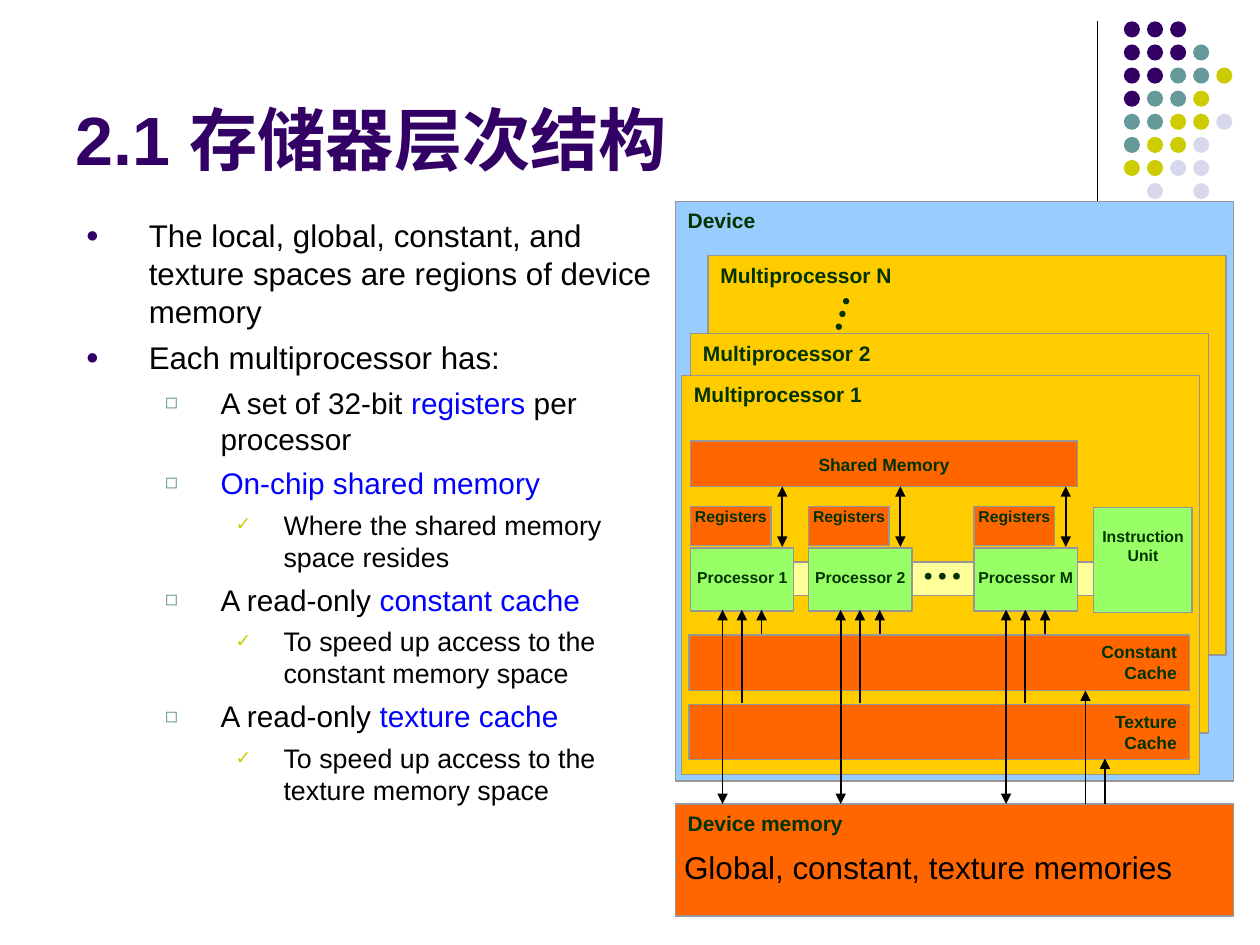
from lxml import etree
from pptx import Presentation
from pptx.dml.color import RGBColor
from pptx.enum.shapes import MSO_CONNECTOR, MSO_SHAPE
from pptx.enum.text import MSO_ANCHOR, MSO_AUTO_SIZE, PP_ALIGN
from pptx.oxml.ns import qn
from pptx.util import Pt

RECT, OVAL = MSO_SHAPE.RECTANGLE, MSO_SHAPE.OVAL
LINE = MSO_CONNECTOR.STRAIGHT
LEFT, MID, RIGHT = PP_ALIGN.LEFT, PP_ALIGN.CENTER, PP_ALIGN.RIGHT
TOP, BOTTOM = MSO_ANCHOR.TOP, MSO_ANCHOR.BOTTOM
FIXED, GROW = MSO_AUTO_SIZE.NONE, MSO_AUTO_SIZE.SHAPE_TO_FIT_TEXT

BLACK, BLUE, INK, EDGE = "000000", "0000FF", "003300", "969696"
SKY, GOLD, ORANGE, LIME, CREAM = "99CCFF", "FFCC00", "FF6600", "99FF66", "FFFF99"
PURPLE, TEAL, OLIVE, PALE = "330066", "669999", "CCCC00", "D8D8EC"
INSET = (7.2, 3.6, 7.2, 3.6)

# Corner dots: one letter per colour, a dash for a gap
DOTS = ["PPP", "PPPT", "PPTTO", "PTTO", "TTOOL", "TOOL", "OOLL", "-L-L"]
HUES = {"P": PURPLE, "T": TEAL, "O": OLIVE, "L": PALE}

# Per list level: left margin, hanging indent, space before, size, bullet, colour
LEVELS = [
    (36, 36, 5.2, 17.9, "●", PURPLE),
    (77, 31.7, 5, 17, "◻", TEAL),
    (113, 27.4, 4.5, 15.3, "✓", OLIVE),
]

# Level, then runs; every second run is blue
POINTS = [
    (0, ["The local, global, constant, and texture spaces are regions of device memory"]),
    (0, ["Each multiprocessor has:"]),
    (1, ["A set of 32-bit ", "registers", " per processor"]),
    (1, ["", "On-chip shared memory"]),
    (2, ["Where the shared memory space resides"]),
    (1, ["A read-only ", "constant cache"]),
    (2, ["To speed up access to the constant memory space"]),
    (1, ["A read-only ", "texture cache"]),
    (2, ["To speed up access to the texture memory space"]),
]


def rgb(code):
    return RGBColor.from_string(code)


def place(shape, x, y, w, h):
    shape.left, shape.top, shape.width, shape.height = Pt(x), Pt(y), Pt(w), Pt(h)


def style(font, size, color, bold=False, name="Arial"):
    font.name, font.size, font.bold = name, Pt(size), bold
    font.color.rgb = rgb(color)


def write(shape, text, size, color=INK, bold=True, align=LEFT, inset=INSET,
          wrap=True, fit=FIXED, name="Arial"):
    frame = shape.text_frame
    frame.text = text
    frame.word_wrap = wrap
    frame.auto_size = fit
    frame.vertical_anchor = TOP
    (frame.margin_left, frame.margin_top,
     frame.margin_right, frame.margin_bottom) = map(Pt, inset)
    for para in frame.paragraphs:
        para.alignment = align
        for run in para.runs:
            style(run.font, size, color, bold, name)


def solid(slide, kind, x, y, w, h, fill):
    shape = slide.shapes.add_shape(kind, Pt(x), Pt(y), Pt(w), Pt(h))
    shape.shadow.inherit = False
    shape.fill.solid()
    shape.fill.fore_color.rgb = rgb(fill)
    shape.line.fill.background()
    return shape


def box(slide, x, y, w, h, fill, text="", size=12, **opts):
    shape = solid(slide, RECT, x, y, w, h, fill)
    shape.line.color.rgb = rgb(EDGE)
    shape.line.width = Pt(0.75)
    if text:
        write(shape, text, size, **opts)


def label(slide, x, y, w, h, text, size, **opts):
    write(slide.shapes.add_textbox(Pt(x), Pt(y), Pt(w), Pt(h)), text, size, **opts)


def rule(slide, x, start, end, width=1, ends=("tailEnd",)):
    """Vertical line with a triangle at each of the named ends."""
    line = slide.shapes.add_connector(LINE, Pt(x), Pt(start), Pt(x), Pt(end))
    line.line.color.rgb = rgb(BLACK)
    line.line.width = Pt(width)
    for tag in ends:
        etree.SubElement(line.line._ln, qn("a:" + tag), type="triangle")
    etree.SubElement(line._element.spPr, qn("a:effectLst"))


def bullet(para, mark, color, left, hang):
    props = para._p.get_or_add_pPr()
    props.set("marL", str(Pt(left)))
    props.set("indent", str(-Pt(hang)))
    tint = etree.SubElement(props, qn("a:buClr"))
    etree.SubElement(tint, qn("a:srgbClr"), val=color)
    etree.SubElement(props, qn("a:buSzPct"), val="70000")
    etree.SubElement(props, qn("a:buFont"), typeface="Arial")
    etree.SubElement(props, qn("a:buChar"), char=mark)


def heading(slide):
    title = slide.shapes.title
    place(title, 36, 21.6, 582, 84.2)
    write(title, "2.1 存储器层次结构", 39, color=PURPLE)
    title.text_frame.vertical_anchor = BOTTOM


def points(slide):
    body = slide.placeholders[1]
    place(body, 41.8, 120.2, 350.6, 360)
    frame = body.text_frame
    frame.auto_size = FIXED
    for i, (level, parts) in enumerate(POINTS):
        para = frame.paragraphs[0] if i == 0 else frame.add_paragraph()
        left, hang, gap, size, mark, color = LEVELS[level]
        para.level = level
        para.space_before = Pt(gap)
        bullet(para, mark, color, left, hang)
        for j, text in enumerate(parts):
            if text:
                run = para.add_run()
                run.text = text
                style(run.font, size, BLUE if j % 2 else BLACK)


def corner(slide):
    rule(slide, 627.1, 12.2, 131.8, 0.75, ())
    for i, row in enumerate(DOTS):
        for j, key in enumerate(row):
            if key in HUES:
                solid(slide, OVAL, 642.2 + 13.2 * j, 12.2 + 13.2 * i, 9.2, 9.2, HUES[key])


def core(slide, x, name):
    """Processor with its registers and the arrow to shared memory."""
    box(slide, x, 313.2, 59, 36, LIME, name, 9, align=MID, inset=(0, 11.5, 0, 0))
    box(slide, x, 289.4, 46, 22.3, ORANGE, "Registers", 9, align=MID, inset=(0, 0, 0, 0))
    rule(slide, x + 52.4, 312.5, 277.9, ends=("headEnd", "tailEnd"))


def device(slide):
    # Nested frames
    box(slide, 385.9, 115.2, 319, 331.2, SKY, "Device")
    for x, y, key in ((404.6, 146.2, "N"), (394.6, 190.8, "2"), (389.5, 214.6, "1")):
        box(slide, x, y, 296, 228.2, GOLD, "Multiprocessor " + key)
    box(slide, 385.9, 459.4, 319, 64, ORANGE, "Device memory")
    for i in range(3):
        solid(slide, OVAL, 481.7 - 2.1 * i, 170.3 + 7.3 * i, 3.6, 3.6, INK)

    # Shared memory, bus and processors
    box(slide, 394.6, 252, 221, 25.9, ORANGE, "Shared Memory", 10,
        align=MID, inset=(0, 7.2, 0, 0))
    box(slide, 421.9, 321.1, 226, 19.4, CREAM)
    box(slide, 625, 290.2, 56.2, 59.8, LIME, "Instruction\nUnit", 9,
        align=MID, inset=(0, 10.8, 0, 0))
    label(slide, 519.1, 307.4, 38.9, 31.7, "…", 24, align=MID,
          inset=(0, 0, 0, 0), name="Times New Roman")
    cores = ((394.6, "1"), (462.1, "2"), (556.6, "M"))
    for x, key in cores:
        core(slide, x, "Processor " + key)

    # Caches
    for y, name in ((362.9, "Constant"), (402.5, "Texture")):
        box(slide, 393.8, y, 285.8, 31.7, ORANGE, name + "\nCache", 10, align=RIGHT)

    # Arrows between processors, caches and device memory
    for x, _ in cores:
        rule(slide, x + 18.3, 459.4, 348.5, ends=("headEnd", "tailEnd"))
        rule(slide, x + 29.3, 401.8, 348.5)
        rule(slide, x + 40.6, 362.2, 348.5)
    rule(slide, 620.3, 459.4, 394.6)
    rule(slide, 631.4, 459.4, 433.4)
    label(slide, 383.8, 481, 296, 28.8, "Global, constant, texture memories", 18,
          color=BLACK, bold=False, wrap=False, fit=GROW)


def main():
    deck = Presentation()
    deck.slide_width, deck.slide_height = Pt(720), Pt(540)
    slide = deck.slides.add_slide(deck.slide_layouts[1])
    corner(slide)
    heading(slide)
    points(slide)
    device(slide)
    deck.save("out.pptx")


if __name__ == "__main__":
    main()
